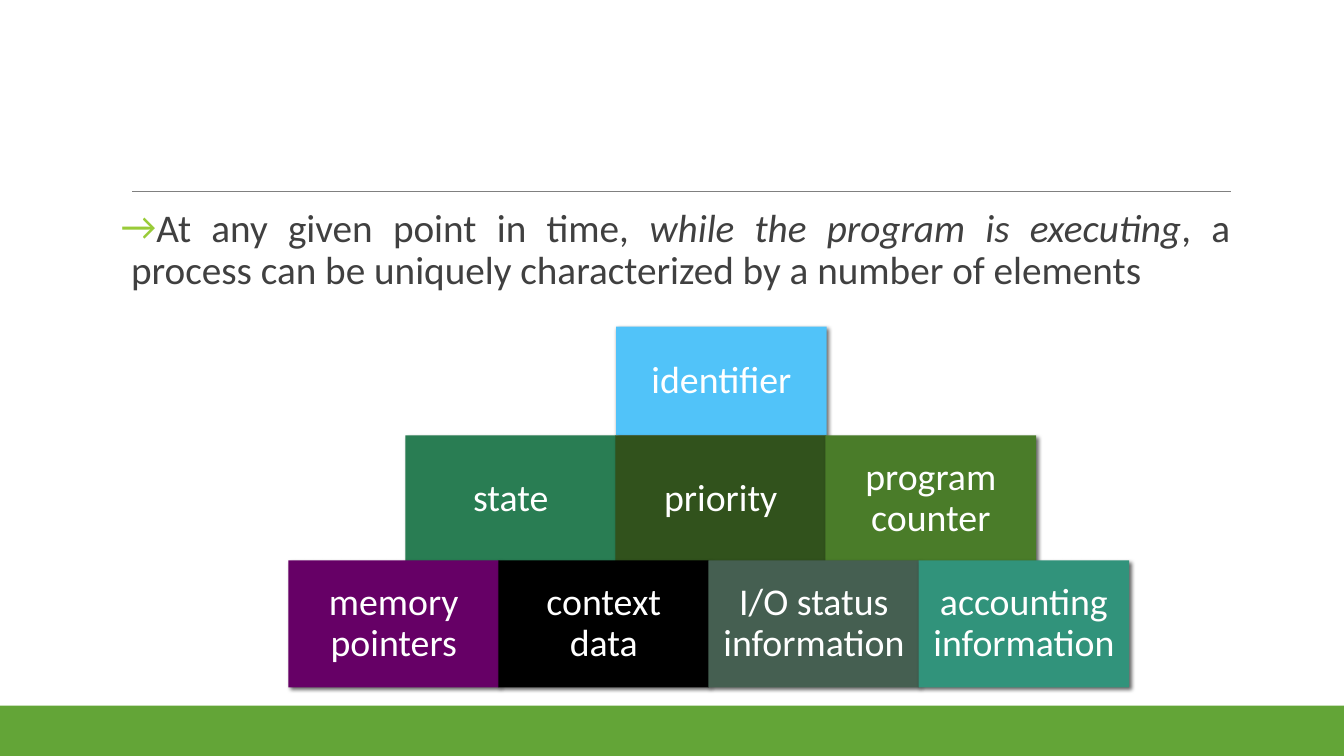
from dataclasses import dataclass

import pptx
import pptx.dml.color
import pptx.enum.shapes
import pptx.enum.text
import pptx.oxml
import pptx.oxml.ns
import pptx.util
from lxml import etree

Inches = pptx.util.Inches
Pt = pptx.util.Pt
qn = pptx.oxml.ns.qn

COLORS = {
    "footer": "63A537",
    "rule": "808080",
    "body": "404040",
    "bullet": "99CB38",
    "label": "FFFFFF",
    "shadow": "000000",
    "identifier": "51C3F9",
    "state": "297D53",
    "priority": "31521C",
    "program counter": "4A7C29",
    "memory pointers": "660066",
    "context data": "000000",
    "I/O status information": "455F51",
    "accounting information": "31937B",
}
FONT = "Calibri"
BLOCK_WIDTH = 2.09
BLOCK_PITCH = 6.25 / 3


@dataclass(frozen=True)
class BlockRow:
    left: float
    top: float
    height: float
    labels: tuple[str, ...]


PYRAMID = (
    BlockRow(6.11, 3.24, 1.08, ("identifier",)),
    BlockRow(4.02, 4.32, 1.26, ("state", "priority", "program counter")),
    BlockRow(2.86, 5.56, 1.26, (
        "memory pointers", "context data",
        "I/O status information", "accounting information",
    )),
)


def rgb(name: str) -> pptx.dml.color.RGBColor:
    return pptx.dml.color.RGBColor.from_string(COLORS[name])


def set_font(paragraph, size: float, color: str) -> None:
    paragraph.font.name = FONT
    paragraph.font.size = Pt(size)
    paragraph.font.color.rgb = rgb(color)


def set_margins(frame, horizontal: float, vertical: float) -> None:
    frame.margin_left = frame.margin_right = Inches(horizontal)
    frame.margin_top = frame.margin_bottom = Inches(vertical)


def add_rectangle(slide, left: float, top: float, width: float, height: float, color: str):
    rectangle = slide.shapes.add_shape(
        pptx.enum.shapes.MSO_SHAPE.RECTANGLE,
        Inches(left), Inches(top), Inches(width), Inches(height),
    )
    rectangle.shadow.inherit = False
    rectangle.fill.solid()
    rectangle.fill.fore_color.rgb = rgb(color)
    rectangle.line.fill.background()
    return rectangle


def add_shadow(block) -> None:
    effects = block._element.spPr.find(qn("a:effectLst"))
    shadow = etree.SubElement(
        effects, qn("a:outerShdw"), blurRad=str(Pt(3)), dist=str(Pt(2)),
        dir=str(45 * 60000), algn="ctr", rotWithShape="0",
    )
    color = etree.SubElement(shadow, qn("a:srgbClr"), val=COLORS["shadow"])
    etree.SubElement(color, qn("a:alpha"), val="60000")


def add_row(slide, row: BlockRow) -> None:
    for column, label in enumerate(row.labels):
        left = row.left + column * BLOCK_PITCH
        block = add_rectangle(slide, left, row.top, BLOCK_WIDTH, row.height, label)
        add_shadow(block)
        frame = block.text_frame
        frame.word_wrap = True
        frame.vertical_anchor = pptx.enum.text.MSO_ANCHOR.MIDDLE
        set_margins(frame, 0.11, 0.11)
        paragraph = frame.paragraphs[0]
        paragraph.text = label
        paragraph.alignment = pptx.enum.text.PP_ALIGN.CENTER
        paragraph.line_spacing = 0.9
        set_font(paragraph, 27, "label")


def add_rule(slide) -> None:
    rule = slide.shapes.add_connector(
        pptx.enum.shapes.MSO_CONNECTOR.STRAIGHT,
        Inches(1.31), Inches(1.9), Inches(12.21), Inches(1.9),
    )
    rule.line.color.rgb = rgb("rule")
    rule.line.width = Pt(0.5)
    etree.SubElement(rule._element.spPr, qn("a:effectLst"))


def fill_statement(body) -> None:
    body.left, body.top = Inches(1.2), Inches(2.02)
    body.width, body.height = Inches(11), Inches(4.4)
    frame = body.text_frame
    frame.word_wrap = True
    frame.auto_size = pptx.enum.text.MSO_AUTO_SIZE.NONE
    frame.vertical_anchor = pptx.enum.text.MSO_ANCHOR.TOP
    set_margins(frame, 0, 0.05)
    paragraph = frame.paragraphs[0]
    paragraph.alignment = pptx.enum.text.PP_ALIGN.JUSTIFY
    paragraph.line_spacing = 0.9
    paragraph.space_before = Pt(12)
    paragraph.space_after = Pt(2)
    properties = paragraph._p.get_or_add_pPr()
    properties.set("marL", str(Inches(0.1)))
    properties.set("indent", str(Inches(-0.1)))
    bullet_color = etree.SubElement(properties, qn("a:buClr"))
    etree.SubElement(bullet_color, qn("a:srgbClr"), val=COLORS["bullet"])
    etree.SubElement(properties, qn("a:buFont"), typeface=FONT)
    etree.SubElement(properties, qn("a:buChar"), char="→")
    set_font(paragraph, 28, "body")
    paragraph.add_run().text = "At any given point in time, "
    condition = paragraph.add_run()
    condition.text = "while the program is executing"
    condition.font.italic = True
    paragraph.add_run().text = (
        ", a process can be uniquely characterized by a number of elements"
    )


def main() -> None:
    presentation = pptx.Presentation()
    presentation.slide_width = Inches(13.33)
    presentation.slide_height = Inches(7.5)
    slide = presentation.slides.add_slide(presentation.slide_layouts[1])
    title = slide.shapes.title._element
    title.getparent().remove(title)
    add_rectangle(slide, 0, 7, 13.33, 0.5, "footer")
    add_rule(slide)
    fill_statement(slide.placeholders[1])
    for row in PYRAMID:
        add_row(slide, row)
    presentation.save("out.pptx")


if __name__ == "__main__":
    main()
